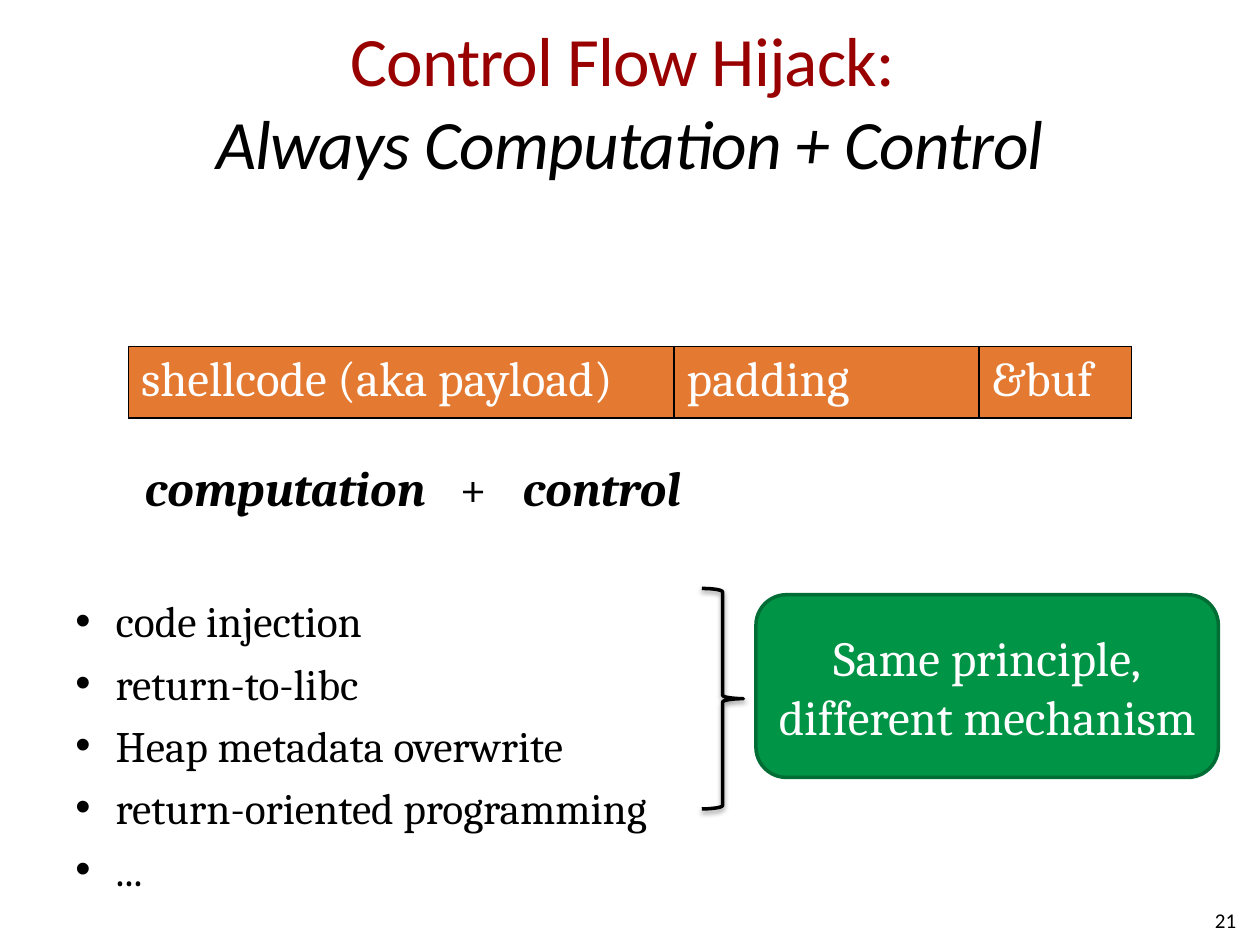
from pptx import Presentation
from pptx import util as u
from pptx.dml.color import RGBColor
from pptx.enum import shapes, text
from pptx.oxml import parse_xml
from pptx.oxml.ns import nsdecls, qn

ALIGN = text.PP_ALIGN
MIDDLE = text.MSO_ANCHOR.MIDDLE


def rgb(value):
    return RGBColor.from_string(value)


def xml(tag, attributes="", inner=""):
    return parse_xml(f'<a:{tag} {nsdecls("a")} {attributes}>{inner}</a:{tag}>')


class SlideBuilder:
    HEADING = "Calibri"
    BODY = "Cambria"
    BLACK, WHITE, RED = "000000", "FFFFFF", "990000"
    ORANGE, GREEN, DARK_GREEN = "E47932", "009446", "006D34"

    def __init__(self, deck):
        self.slide = deck.slides.add_slide(deck.slide_layouts[5])
        self.shapes = self.slide.shapes

    def box(self, at):
        return [u.Inches(length) for length in at]

    def style(self, paragraph, size, color=BLACK, name=BODY, align=ALIGN.LEFT):
        paragraph.alignment = align
        font = paragraph.font
        font.size, font.name = u.Pt(size), name
        font.color.rgb = rgb(color)

    def title(self, at, first_line, second_line):
        title = self.shapes.title
        title.left, title.top, title.width, title.height = self.box(at)
        frame = title.text_frame
        frame.margin_left = frame.margin_right = 0
        frame.vertical_anchor = MIDDLE
        frame.auto_size = text.MSO_AUTO_SIZE.NONE
        paragraph = frame.paragraphs[0]
        heading = paragraph.add_run()
        heading.text = first_line
        paragraph.add_line_break()
        subheading = paragraph.add_run()
        subheading.text = second_line
        subheading.font.italic = True
        self.style(paragraph, 39.6, name=self.HEADING, align=ALIGN.CENTER)
        for run, color in ((heading, self.RED), (subheading, self.BLACK)):
            run.font.color.rgb = rgb(color)
            run.font._element.set("spc", "-50")

    def text_frame(self, at):
        frame = self.shapes.add_textbox(*self.box(at)).text_frame
        frame.word_wrap = True
        return frame

    def equation(self, at, parts, indent, tabs):
        paragraph = self.text_frame(at).paragraphs[0]
        for index, part in enumerate(parts):
            run = paragraph.add_run()
            run.text = part if index == 0 else "\t" + part
            run.font.bold = run.font.italic = part != "+"
        properties = paragraph._p.get_or_add_pPr()
        properties.set("marL", str(u.Inches(indent)))
        properties.set("indent", "0")
        stops = "".join(
            f'<a:tab pos="{u.Inches(position)}" algn="{align}"/>' for position, align in tabs
        )
        properties.append(xml("tabLst", inner=stops))
        self.style(paragraph, 28)

    def bullets(self, at, items):
        frame = self.text_frame(at)
        for index, item in enumerate(items):
            paragraph = frame.add_paragraph() if index else frame.paragraphs[0]
            paragraph.text = item
            if index:
                paragraph.space_before = u.Pt(5.7)
            properties = paragraph._p.get_or_add_pPr()
            properties.set("marL", str(u.Inches(0.32)))
            properties.set("indent", str(u.Inches(-0.32)))
            properties.append(xml("buFont", 'typeface="Arial"'))
            properties.append(xml("buChar", 'char="•"'))
            self.style(paragraph, 24.8)

    def page_number(self, at, number):
        frame = self.text_frame(at)
        frame.vertical_anchor = MIDDLE
        frame.text = number
        self.style(frame.paragraphs[0], 12, name=self.HEADING, align=ALIGN.RIGHT)

    def memory_layout(self, at, regions):
        table = self.shapes.add_table(1, len(regions), *self.box(at)).table
        table.first_row = table.horz_banding = False
        line = f'<a:solidFill><a:srgbClr val="{self.BLACK}"/></a:solidFill>'
        for index, (label, width) in enumerate(regions):
            table.columns[index].width = u.Inches(width)
            cell = table.cell(0, index)
            cell.text = label
            self.style(cell.text_frame.paragraphs[0], 28, self.WHITE)
            properties = cell._tc.get_or_add_tcPr()
            for side in ("lnL", "lnR", "lnT", "lnB"):
                properties.append(xml(side, f'w="{u.Pt(1)}"', line))
            cell.fill.solid()
            cell.fill.fore_color.rgb = rgb(self.ORANGE)

    def shape(self, kind, at, line):
        shape = self.shapes.add_shape(kind, *self.box(at))
        shape.shadow.inherit = False
        shape.line.color.rgb = rgb(line)
        shape.line.width = u.Pt(2)
        return shape

    def brace(self, at):
        brace = self.shape(shapes.MSO_SHAPE.RIGHT_BRACE, at, self.BLACK)
        brace.fill.background()
        shade = f'<a:srgbClr val="{self.BLACK}"><a:alpha val="38000"/></a:srgbClr>'
        shadow = xml(
            "outerShdw",
            f'blurRad="{u.Pt(3.1)}" dist="{u.Pt(1.6)}" dir="5400000" rotWithShape="0"',
            shade,
        )
        brace._element.spPr.find(qn("a:effectLst")).append(shadow)

    def callout(self, at, message):
        callout = self.shape(shapes.MSO_SHAPE.ROUNDED_RECTANGLE, at, self.DARK_GREEN)
        callout.fill.solid()
        callout.fill.fore_color.rgb = rgb(self.GREEN)
        frame = callout.text_frame
        frame.word_wrap = True
        frame.vertical_anchor = MIDDLE
        frame.text = message
        self.style(frame.paragraphs[0], 28, self.WHITE, align=ALIGN.CENTER)


def main():
    deck = Presentation()
    deck.slide_width, deck.slide_height = u.Inches(10), u.Inches(7.5)
    builder = SlideBuilder(deck)
    builder.title((0.5, 0.17, 9, 1.25), "Control Flow Hijack: ", "Always Computation + Control")
    builder.equation(
        (0.5, 3.58, 9, 0.6),
        ("computation", "+", "control"),
        indent=0.55,
        tabs=((4.68, "ctr"), (8.26, "r")),
    )
    builder.memory_layout(
        (1.02, 2.75, 7.96, 0.55),
        (("shellcode (aka payload)", 4.33), ("padding", 2.42), ("&buf", 1.21)),
    )
    builder.page_number((7.58, 7.1, 2.33, 0.4), "21")
    builder.bullets(
        (0.5, 4.67, 9, 2.17),
        (
            "code injection",
            "return-to-libc",
            "Heap metadata overwrite",
            "return-oriented programming",
            "...",
        ),
    )
    builder.brace((5.57, 4.67, 0.33, 1.75))
    builder.callout((6, 4.72, 3.67, 1.45), "Same principle,\vdifferent mechanism")
    deck.save("out.pptx")


if __name__ == "__main__":
    main()
